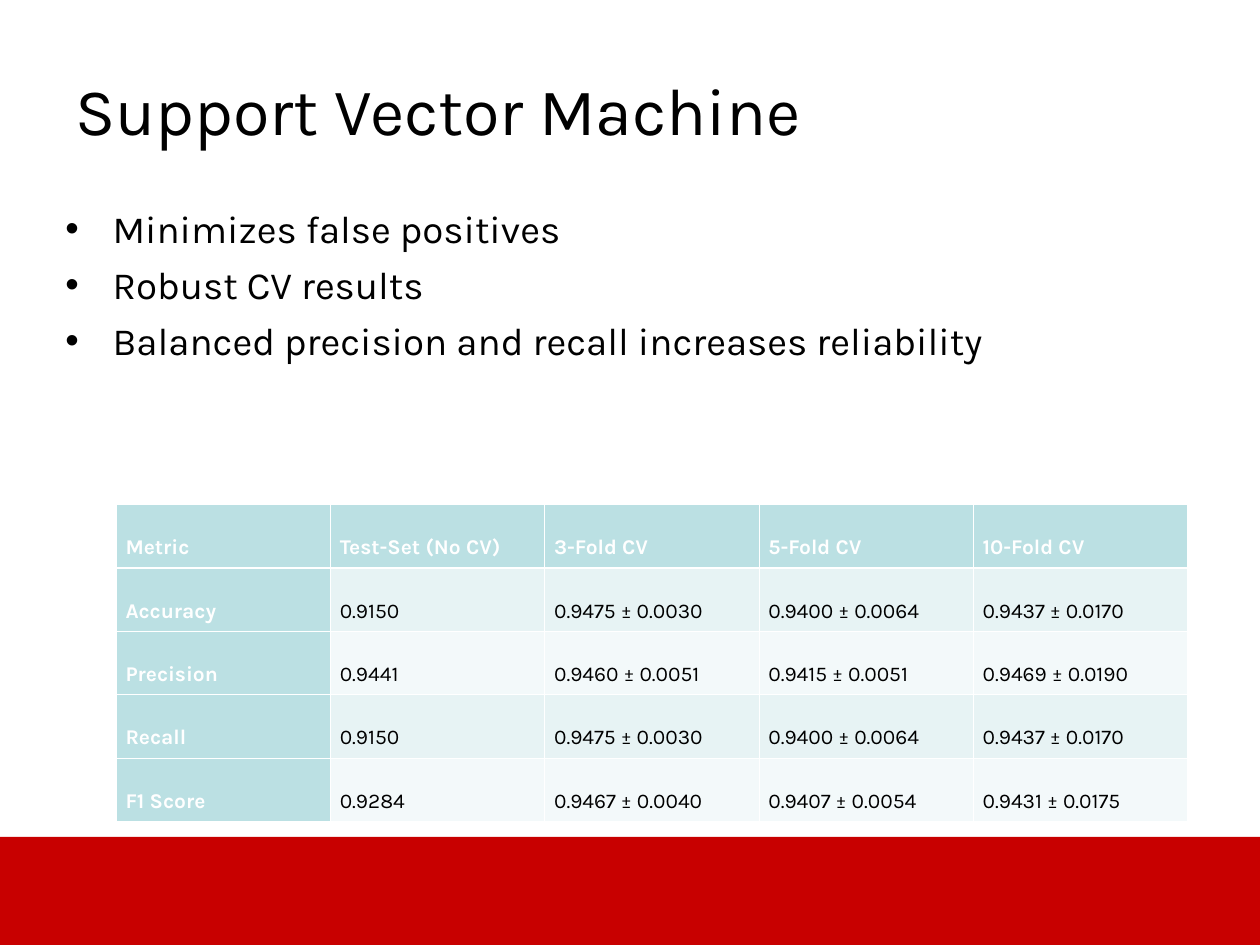
from lxml import etree
from pptx import Presentation
from pptx.dml.color import RGBColor
from pptx.enum import shapes, text
from pptx.oxml import ns
from pptx.util import Cm, Pt

FONT = "Karla"
BLACK = RGBColor(0x00, 0x00, 0x00)
WHITE = RGBColor(0xFF, 0xFF, 0xFF)
RED = RGBColor(0xC8, 0x00, 0x00)
TEAL = RGBColor(0xBB, 0xE0, 0xE3)
TINTS = [RGBColor(0xE7, 0xF3, 0xF4), RGBColor(0xF3, 0xF9, 0xFA)]

THIN, THICK = Pt(0.45), Pt(1.47)

BULLETS = [
    "Minimizes false positives",
    "Robust CV results",
    "Balanced precision and recall increases reliability",
]
RESULTS = [
    ["Metric", "Test-Set (No CV)", "3-Fold CV", "5-Fold CV", "10-Fold CV"],
    ["Accuracy", "0.9150", "0.9475 ± 0.0030", "0.9400 ± 0.0064", "0.9437 ± 0.0170"],
    ["Precision", "0.9441", "0.9460 ± 0.0051", "0.9415 ± 0.0051", "0.9469 ± 0.0190"],
    ["Recall", "0.9150", "0.9475 ± 0.0030", "0.9400 ± 0.0064", "0.9437 ± 0.0170"],
    ["F1 Score", "0.9284", "0.9467 ± 0.0040", "0.9407 ± 0.0054", "0.9431 ± 0.0175"],
]


def write(para, words, size, color=BLACK, bold=False):
    span = para.add_run()
    span.text = words
    span.font.name = FONT
    span.font.size = Pt(size)
    span.font.bold = bold
    span.font.color.rgb = color


def add_border(cell, side, width):
    """Draw one white cell edge; side is L, R, T or B, added in that order before the fill."""
    properties = cell._tc.get_or_add_tcPr()
    line = etree.SubElement(properties, ns.qn(f"a:ln{side}"), w=str(width))
    fill = etree.SubElement(line, ns.qn("a:solidFill"))
    etree.SubElement(fill, ns.qn("a:srgbClr"), val=str(WHITE))


deck = Presentation()
deck.slide_width, deck.slide_height = Cm(25.4), Cm(19.05)
page = deck.slides.add_slide(deck.slide_layouts[6])

# Footer band
band = page.shapes.add_shape(
    shapes.MSO_SHAPE.RECTANGLE, 0, Cm(16.87), deck.slide_width, Cm(2.18))
band.shadow.inherit = False
band.fill.solid()
band.fill.fore_color.rgb = RED
band.line.fill.background()

# Title
title = page.shapes.add_textbox(Cm(1.27), Cm(1.27), Cm(21.59), Cm(3.18)).text_frame
title.word_wrap = True
write(title.paragraphs[0], "Support Vector Machine", 38)

# Bullets
body = page.shapes.add_textbox(Cm(1.07), Cm(4.01), Cm(23.06), Cm(6.55)).text_frame
body.word_wrap = True
for index, words in enumerate(BULLETS):
    para = body.add_paragraph() if index else body.paragraphs[0]
    properties = para._p.get_or_add_pPr()
    properties.set("marL", str(Cm(0.95)))
    properties.set("indent", str(-Cm(0.95)))
    etree.SubElement(properties, ns.qn("a:buFont"), typeface="Arial")
    etree.SubElement(properties, ns.qn("a:buChar"), char="•")
    if index:
        para.space_before = Pt(5.5)
    write(para, words, 22)

# Results table
row_count, column_count = len(RESULTS), len(RESULTS[0])
column_width, row_height = Cm(4.32), Cm(1.02)
table = page.shapes.add_table(
    row_count, column_count, Cm(2.34), Cm(10.17),
    column_width * column_count, row_height * row_count).table
for column in table.columns:
    column.width = column_width
for row in table.rows:
    row.height = row_height

for row_index, values in enumerate(RESULTS):
    for column_index, value in enumerate(values):
        cell = table.cell(row_index, column_index)
        heading = row_index == 0 or column_index == 0
        cell.margin_left = cell.margin_right = Cm(0.19)
        cell.margin_top = cell.margin_bottom = Cm(0.13)
        add_border(cell, "L", THIN)
        add_border(cell, "R", THIN)
        add_border(cell, "T", THICK if row_index == 1 else THIN)
        add_border(cell, "B", THICK if row_index == 0 else THIN)
        cell.fill.solid()
        cell.fill.fore_color.rgb = TEAL if heading else TINTS[(row_index - 1) % 2]
        para = cell.text_frame.paragraphs[0]
        para.alignment = text.PP_ALIGN.JUSTIFY
        para.line_spacing = 2.0
        write(para, value, 12, WHITE if heading else BLACK, heading)

deck.save("out.pptx")
